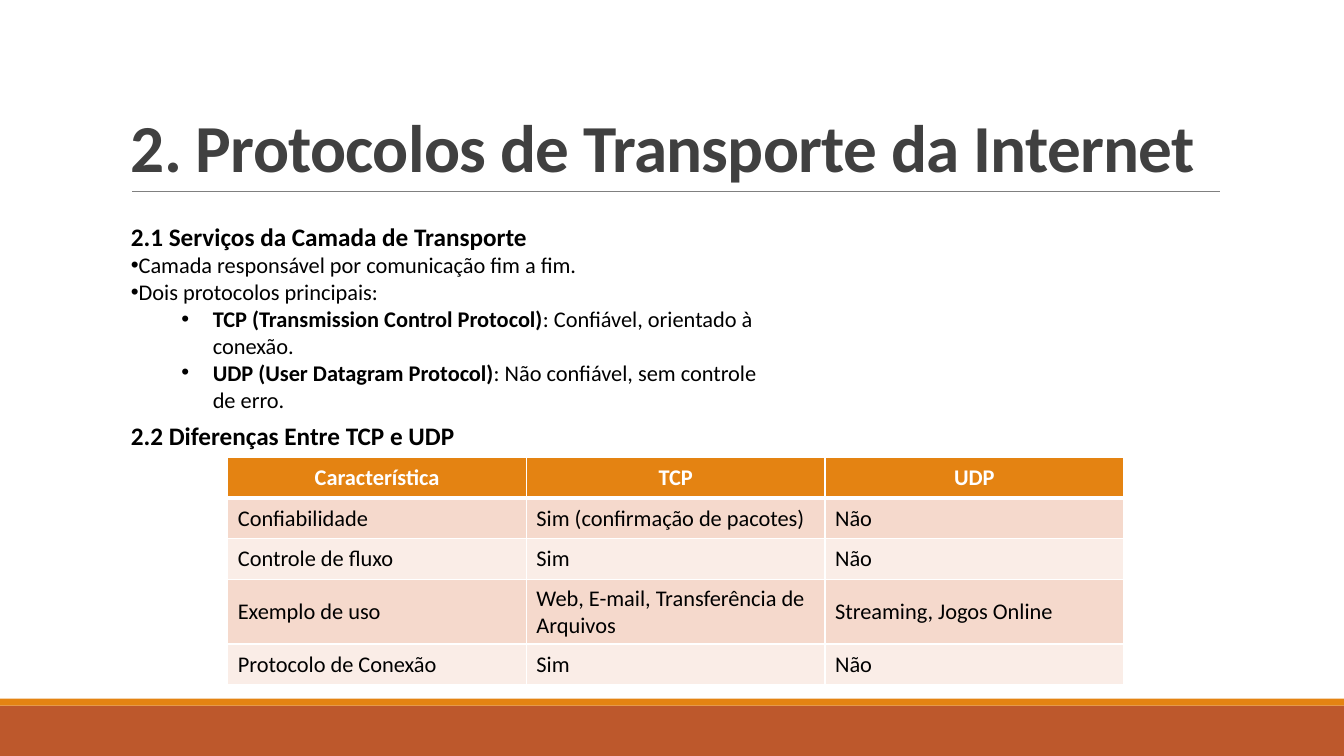
from lxml.etree import SubElement
from pptx import Presentation
from pptx.dml.color import RGBColor
from pptx.enum.shapes import MSO_CONNECTOR, MSO_SHAPE
from pptx.enum.text import MSO_ANCHOR as ANCHOR, PP_ALIGN as ALIGN
from pptx.oxml import parse_xml
from pptx.oxml.ns import nsdecls, qn
from pptx.util import Pt

WIDTH, HEIGHT = 960, 540
FONT = "Calibri"
WHITE = RGBColor(0xFF, 0xFF, 0xFF)
BLACK = RGBColor(0, 0, 0)
DARK = RGBColor(0x40, 0x40, 0x40)
GREY = RGBColor(0x80, 0x80, 0x80)
ORANGE = RGBColor(0xE4, 0x83, 0x12)
RUST = RGBColor(0xBD, 0x58, 0x2C)
BANDS = [RGBColor(0xF5, 0xD9, 0xCC), RGBColor(0xFA, 0xED, 0xE7)]

TITLE = "2. Protocolos de Transporte da Internet"
SERVICES = "2.1 Serviços da Camada de Transporte"
POINTS = ["Camada responsável por comunicação fim a fim.", "Dois protocolos principais:"]
PROTOCOLS = [
    ("TCP (Transmission Control Protocol)", ": Confiável, orientado à conexão."),
    ("UDP (User Datagram Protocol)", ": Não confiável, sem controle de erro."),
]
DIFFERENCES = "2.2 Diferenças Entre TCP e UDP"
COMPARISON = [
    ("Característica", "TCP", "UDP"),
    ("Confiabilidade", "Sim (confirmação de pacotes)", "Não"),
    ("Controle de fluxo", "Sim", "Não"),
    ("Exemplo de uso", "Web, E-mail, Transferência de Arquivos", "Streaming, Jogos Online"),
    ("Protocolo de Conexão", "Sim", "Não"),
]
ROW_HEIGHTS = [29.2, 29.2, 29.2, 45.9, 29.2]


def add_run(p, text, size=16, bold=False, color=BLACK):
    r = p.add_run()
    r.text = text
    r.font.name, r.font.size, r.font.bold = FONT, Pt(size), bold
    r.font.color.rgb = color
    return r


def add_text_frame(s, x, y, w, h, anchor=ANCHOR.TOP):
    tf = s.shapes.add_textbox(Pt(x), Pt(y), Pt(w), Pt(h)).text_frame
    tf.word_wrap = True
    tf.vertical_anchor = anchor
    return tf


def add_bullet(tf, margin=0, indent=0):
    p = tf.add_paragraph()
    pPr = p._p.get_or_add_pPr()
    pPr.set("marL", str(Pt(margin)))
    pPr.set("indent", str(Pt(indent)))
    SubElement(pPr, qn("a:buFont"), typeface="Arial")
    SubElement(pPr, qn("a:buChar"), char="•")
    return p


def add_footer(s, x, y, w, h):
    """Draw a thin orange strip above a rust band."""
    strip = 5
    for top, height, color in [(y + strip, h - strip, RUST), (y, strip, ORANGE)]:
        sp = s.shapes.add_shape(MSO_SHAPE.RECTANGLE, Pt(x), Pt(top), Pt(w), Pt(height))
        sp.shadow.inherit = False
        sp.fill.solid()
        sp.fill.fore_color.rgb = color
        sp.line.fill.background()


def add_title(s, x, y, w, h):
    p = add_text_frame(s, x, y, w, h, ANCHOR.BOTTOM).paragraphs[0]
    p.line_spacing = 0.85
    r = add_run(p, TITLE, 48, True, DARK)
    r.font._element.set("spc", "-50")
    base = Pt(y + h)
    rule = s.shapes.add_connector(MSO_CONNECTOR.STRAIGHT, Pt(x + 8), base, Pt(x + w - 7), base)
    rule.line.color.rgb = GREY
    rule.line.width = Pt(0.5)
    SubElement(rule._element.spPr, qn("a:effectLst"))


def add_services(s, x, y, w, h):
    tf = add_text_frame(s, x, y, w, h)
    add_run(tf.paragraphs[0], SERVICES, 18, True)
    for point in POINTS:
        add_run(add_bullet(tf), point)
    for name, trait in PROTOCOLS:
        p = add_bullet(tf, 58.5, -22.5)
        p.level = 1
        add_run(p, name, bold=True)
        add_run(p, trait)


def add_subheading(s, x, y, w, h):
    add_run(add_text_frame(s, x, y, w, h).paragraphs[0], DIFFERENCES, 18, True)


def set_borders(cell, widths):
    """Give the cell white left, right, top and bottom borders."""
    tcPr = cell._tc.get_or_add_tcPr()
    for i, (side, width) in enumerate(zip("LRTB", widths)):
        tcPr.insert(i, parse_xml(
            f'<a:ln{side} {nsdecls("a")} w="{Pt(width)}"><a:solidFill>'
            f'<a:srgbClr val="{WHITE}"/></a:solidFill></a:ln{side}>'))


def add_comparison(s, x, y, w, h):
    cols = len(COMPARISON[0])
    table = s.shapes.add_table(len(COMPARISON), cols, Pt(x), Pt(y), Pt(w), Pt(h)).table
    for col in table.columns:
        col.width = Pt(w / cols)
    for i, texts in enumerate(COMPARISON):
        head = i == 0
        table.rows[i].height = Pt(ROW_HEIGHTS[i])
        for j, text in enumerate(texts):
            cell = table.cell(i, j)
            cell.vertical_anchor = ANCHOR.MIDDLE
            cell.fill.solid()
            cell.fill.fore_color.rgb = ORANGE if head else BANDS[(i - 1) % 2]
            set_borders(cell, (1, 1, 3 if i == 1 else 1, 3 if head else 1))
            p = cell.text_frame.paragraphs[0]
            p.alignment = ALIGN.CENTER if head else ALIGN.LEFT
            add_run(p, text, bold=head, color=WHITE if head else BLACK)


def main():
    prs = Presentation()
    prs.slide_width, prs.slide_height = Pt(WIDTH), Pt(HEIGHT)
    s = prs.slides.add_slide(prs.slide_layouts[6])
    add_footer(s, 0, 499, WIDTH, 41)
    add_title(s, 86.4, 22.5, 792, 114.3)
    add_services(s, 86.4, 154.4, 480, 145.4)
    add_subheading(s, 86.4, 296.5, 248, 29)
    add_comparison(s, 162.7, 326.5, 640, sum(ROW_HEIGHTS))
    prs.save("out.pptx")


if __name__ == "__main__":
    main()
